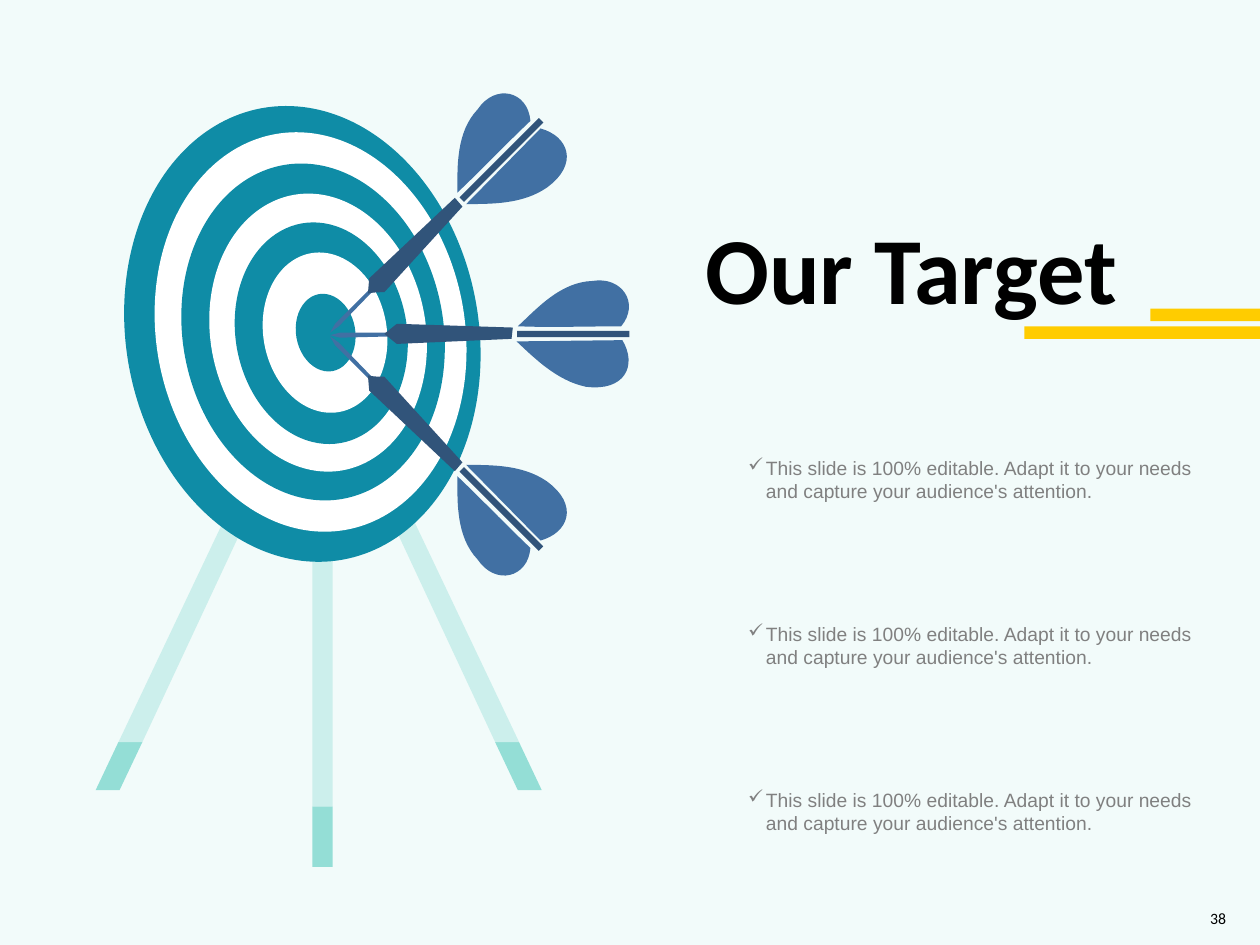
import pptx
import pptx.dml.color
import pptx.enum.shapes
import pptx.enum.text
import pptx.oxml
import pptx.util
from pptx.oxml.ns import nsdecls

SHAPE = pptx.enum.shapes.MSO_SHAPE
ALIGN = pptx.enum.text.PP_ALIGN
ANCHOR = pptx.enum.text.MSO_ANCHOR
AUTO = pptx.enum.text.MSO_AUTO_SIZE

TEAL, WHITE, GOLD = "0F8CA6", "FFFFFF", "FFCC00"
BLUE, NAVY = "4170A3", "31547A"
MINT, PALE = "94DED6", "CCEFEC"
NOTE = ("This slide is 100% editable. Adapt it to your needs "
        "and capture your audience's attention.")

# Outlines: a pair is a corner, six numbers are a Bézier curve.
FOOT = [(0.94, 5.89), (1.13, 5.89), (0.95, 6.27), (0.76, 6.27)]
LEG = [(1.99, 4.05), (1.13, 5.89), (0.94, 5.89), (1.81, 4.06)]
RINGS = [(1, 0.83, 2.8, 3.64), (1.24, 1.04, 2.45, 3.19),
         (1.45, 1.29, 2.07, 2.69), (1.67, 1.53, 1.71, 2.22),
         (1.87, 1.76, 1.36, 1.77), (2.09, 2, 0.98, 1.28),
         (2.35, 2.33, 0.47, 0.62)]
HIGH = {
    "needle": [(2.62, 2.64), (2.66, 2.57), (2.96, 2.27), (2.98, 2.29),
               (2.69, 2.59)],
    "fins": [
        [(3.63, 1.53), (3.63, 1.32, 3.62, 1.05, 3.79, 0.87),
         (3.93, 0.66, 4.19, 0.72, 4.21, 0.96),
         (4, 1.16, 3.84, 1.33, 3.63, 1.53)],
        [(3.7, 1.62), (4.29, 1.02), (4.51, 1.08, 4.6, 1.3, 4.34, 1.49),
         (4.15, 1.62, 3.91, 1.62, 3.7, 1.62)]],
    "barrel": [(3.61, 1.57), (3.67, 1.64), (3.05, 2.32),
               (3, 2.32, 2.97, 2.32, 2.92, 2.33), (2.93, 2.21)],
    "shaft": (3.98, 1.27, 45),
}
LEVEL = {
    "needle": [(2.62, 2.66), (2.7, 2.64), (3.12, 2.64), (3.12, 2.67),
               (2.7, 2.68)],
    "fins": [
        [(4.1, 2.71), (4.94, 2.7), (5.06, 2.9, 4.96, 3.11, 4.65, 3.07),
         (4.42, 3.02, 4.25, 2.85, 4.1, 2.71)],
        [(4.11, 2.59), (4.27, 2.44, 4.45, 2.24, 4.7, 2.23),
         (4.94, 2.19, 5.08, 2.41, 4.93, 2.59),
         (4.64, 2.59, 4.41, 2.6, 4.11, 2.59)]],
    "barrel": [(4.07, 2.6), (4.06, 2.69), (3.15, 2.73),
               (3.11, 2.7, 3.09, 2.68, 3.05, 2.65), (3.15, 2.57)],
    "shaft": (4.55, 2.65, 90),
}


def cm(inches):
    return pptx.util.Cm(inches * 2.54)


def rgb(code):
    return pptx.dml.color.RGBColor.from_string(code)


def paint(shape, color):
    shape.shadow.inherit = False
    shape.fill.solid()
    shape.fill.fore_color.rgb = rgb(color)
    shape.line.fill.background()


def solid(slide, kind, box, color, turn=0):
    shape = slide.shapes.add_shape(kind, *map(cm, box))
    shape.rotation = turn
    paint(shape, color)


def trace(path, steps=16):
    """Turn an outline of corners and curves into plain points."""
    points = []
    for part in path:
        if len(part) == 2:
            points.append(part)
            continue
        knots = [points[-1], part[:2], part[2:4], part[4:]]
        for step in range(1, steps + 1):
            t = step / steps
            u = 1 - t
            mix = (u ** 3, 3 * u * u * t, 3 * u * t * t, t ** 3)
            points.append(tuple(sum(m * k[axis] for m, k in zip(mix, knots))
                                for axis in (0, 1)))
    return points


def outline(slide, path, color):
    points = [(cm(x), cm(y)) for x, y in trace(path)]
    form = slide.shapes.build_freeform(*points[0])
    form.add_line_segments(points[1:], close=True)
    paint(form.convert_to_shape(), color)


def mirror(path, axis, total):
    """Reflect an outline; total is twice the place of the mirror line."""
    return [tuple(total - v if i % 2 == axis else v
                  for i, v in enumerate(part)) for part in path]


def flip(dart, total=5.31):
    """Reflect a dart from top to bottom."""
    x, y, turn = dart["shaft"]
    return {
        "needle": mirror(dart["needle"], 1, total),
        "fins": [mirror(fin, 1, total) for fin in dart["fins"]],
        "barrel": mirror(dart["barrel"], 1, total),
        "shaft": (x, total - y, 360 - turn),
    }


def draw_dart(slide, dart):
    outline(slide, dart["needle"], BLUE)
    x, y, turn = dart["shaft"]
    wide, long = 0.05, 0.89
    solid(slide, SHAPE.RECTANGLE,
          (x - wide / 2, y - long / 2, wide, long), NAVY, turn)
    for fin in dart["fins"]:
        outline(slide, fin, BLUE)
    outline(slide, dart["barrel"], NAVY)


def draw_stand(slide):
    for path, color in ((FOOT, MINT), (LEG, PALE)):
        outline(slide, path, color)
        outline(slide, mirror(path, 0, 5.06), color)
    solid(slide, SHAPE.RECTANGLE, (2.48, 6.4, 0.16, 0.48), MINT)
    solid(slide, SHAPE.RECTANGLE, (2.48, 4.21, 0.16, 2.19), PALE)


def write(slide, box, text, size, face, color, bold=False, bullet=None):
    shape = slide.shapes.add_textbox(*map(cm, box))
    frame = shape.text_frame
    frame.word_wrap = True
    frame.auto_size = AUTO.SHAPE_TO_FIT_TEXT
    para = frame.paragraphs[0]
    para.text = text
    if bullet:
        props = para._p.get_or_add_pPr()
        props.set("marL", str(cm(0.14)))
        props.set("indent", str(cm(-0.14)))
        props.append(pptx.oxml.parse_xml(
            f'<a:buChar {nsdecls("a")} char="{bullet}"/>'))
    font = para.font
    font.size = pptx.util.Pt(size)
    font.name = face
    font.bold = bold
    font.color.rgb = rgb(color)
    return frame


def main():
    deck = pptx.Presentation()
    deck.slide_width, deck.slide_height = cm(10), cm(7.5)
    slide = deck.slides.add_slide(deck.slide_layouts[6])
    slide.background.fill.solid()
    slide.background.fill.fore_color.rgb = rgb("F2FBFA")

    draw_stand(slide)
    for i, ring in enumerate(RINGS):
        solid(slide, SHAPE.OVAL, ring, WHITE if i % 2 else TEAL, 350)
    for dart in (LEVEL, flip(HIGH), HIGH):
        draw_dart(slide, dart)

    write(slide, (5.5, 1.62, 4.03, 1.01), "Our Target", 54, "Calibri",
          "000000", bold=True)
    for left, top in ((8.13, 2.59), (9.13, 2.45)):
        solid(slide, SHAPE.RECTANGLE, (left, top, 10 - left, 0.1), GOLD)
    for row in range(3):
        write(slide, (5.84, 3.57 + row * 1.32, 3.74, 0.47), NOTE, 11,
              "Arial", "808080", bullet="✓")

    page = write(slide, (9.46, 7.2, 0.37, 0.18), "38", 9, "Calibri", "000000")
    page.auto_size = AUTO.NONE
    page.vertical_anchor = ANCHOR.MIDDLE
    page.paragraphs[0].alignment = ALIGN.RIGHT
    deck.save("out.pptx")


if __name__ == "__main__":
    main()
